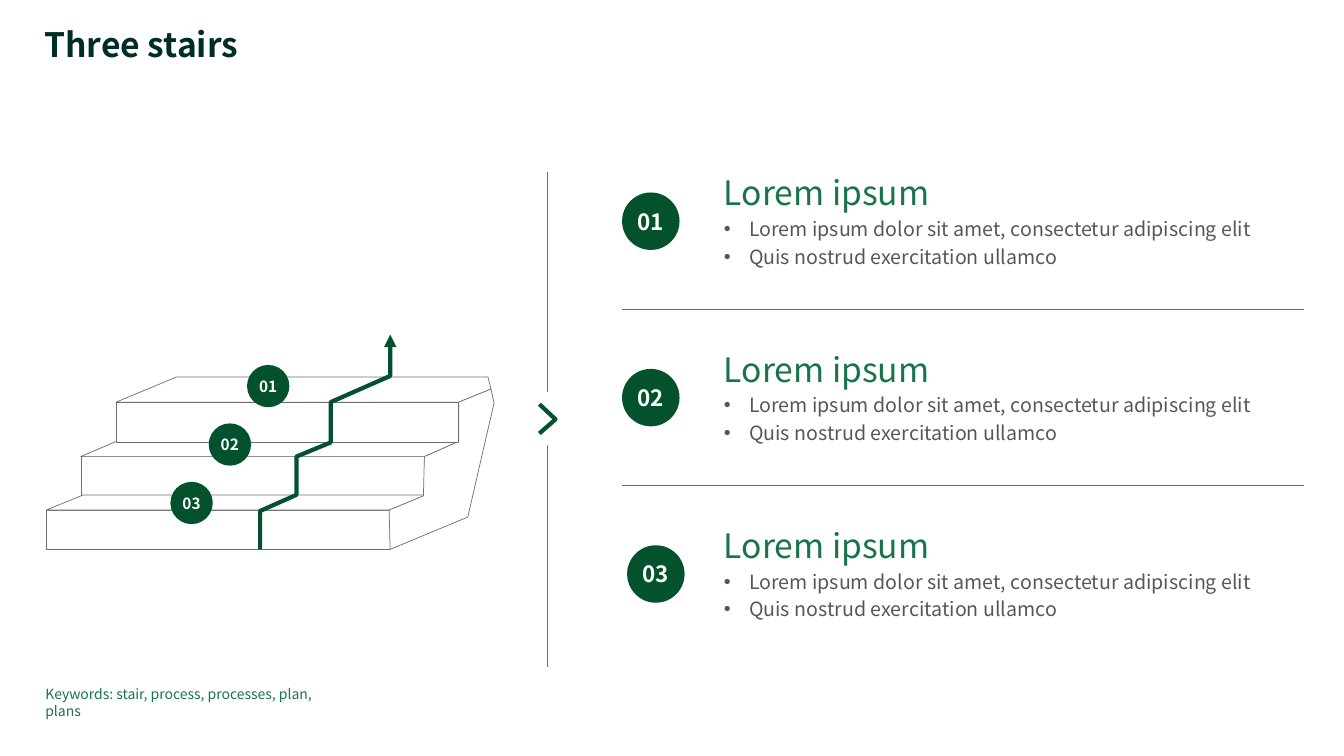
from dataclasses import dataclass
from typing import Any, Optional

from lxml import etree
from pptx import Presentation
from pptx import util as u
from pptx.dml.color import RGBColor
from pptx.enum import shapes, text
from pptx.oxml import ns

PX = 9144
Point = tuple[int, int]


@dataclass(frozen=True)
class Theme:
    font: str = "Noto Sans CJK JP"
    title: str = "002D28"
    heading: str = "1A7449"
    body: str = "575757"
    accent: str = "03522D"
    outline: str = "6E6F73"
    paper: str = "FFFFFF"
    large: int = 24
    badge: int = 16
    detail: int = 14
    stair_badge: int = 11
    note: int = 10
    thin: float = 0.5
    divider: float = 0.75
    thick: float = 3


THEME = Theme()


@dataclass(frozen=True)
class Box:
    left: int
    top: int
    width: int
    height: int

    def emu(self) -> list[int]:
        return [v * PX for v in (self.left, self.top, self.width, self.height)]


@dataclass(frozen=True)
class Step:
    label: str
    badge_left: int
    stair_left: int
    heading: str = "Lorem ipsum"
    details: tuple[str, ...] = (
        "Lorem ipsum dolor sit amet, consectetur adipiscing elit",
        "Quis nostrud exercitation ullamco",
    )


STEPS = [Step("01", 617, 245), Step("02", 617, 207), Step("03", 622, 169)]
STEP_TOP, STEP_PITCH = 171, 175
STAIR_TOP, STAIR_PITCH = 362, 58
LOWER_RISERS = [Box(81, 453, 340, 38), Box(46, 506, 341, 39)]
TOP_RISER = Box(115, 399, 340, 40)
UPPER_TREADS: list[list[Point]] = [
    [(175, 374), (484, 374), (487, 386), (455, 399), (115, 399)],
    [(80, 453), (115, 438), (455, 438), (421, 453)],
]
LOWEST_TREAD = Box(46, 491, 377, 15)
STAIR_SIDE: list[Point] = [
    (487, 386), (490, 400), (464, 513), (387, 545), (386, 506),
    (420, 492), (421, 453), (455, 438), (455, 399),
]
CLIMB: list[Point] = [
    (258, 545), (258, 507), (294, 491), (294, 453),
    (328, 439), (328, 399), (387, 373), (387, 332),
]
CHEVRON: list[Point] = [(535, 401), (551, 416), (535, 430)]


def assign(target: Any, values: dict[str, Any]) -> None:
    for key, value in values.items():
        setattr(target, key, value)


def paint(shape: Any, fill: Optional[str], line: Optional[str] = None,
          weight: float = THEME.thin) -> None:
    shape.shadow.inherit = False
    if fill:
        shape.fill.solid()
        shape.fill.fore_color.rgb = RGBColor.from_string(fill)
    else:
        shape.fill.background()
    if line:
        shape.line.color.rgb = RGBColor.from_string(line)
        shape.line.width = u.Pt(weight)
    else:
        shape.line.fill.background()


def set_frame(frame: Any, **extra: Any) -> None:
    assign(frame, {
        "margin_left": 0, "margin_top": 0, "margin_right": 0, "margin_bottom": 0,
        "word_wrap": True, "vertical_anchor": text.MSO_ANCHOR.TOP, **extra,
    })


def write(paragraph: Any, words: str, size: int, color: str, bold: bool = False) -> None:
    run = paragraph.add_run()
    run.text = words
    assign(run.font, {"name": THEME.font, "size": u.Pt(size), "bold": bold})
    run.font.color.rgb = RGBColor.from_string(color)


def add_bullet(paragraph: Any) -> None:
    props = paragraph._p.get_or_add_pPr()
    indent = 25 * PX
    props.set("marL", str(indent))
    props.set("indent", str(-indent))
    etree.SubElement(props, ns.qn("a:buFont")).set("typeface", "Arial")
    etree.SubElement(props, ns.qn("a:buChar")).set("char", "•")
    paragraph.space_before = u.Pt(3)


def add_preset(slide: Any, kind: Any, box: Box, fill: str,
               line: Optional[str] = None) -> Any:
    shape = slide.shapes.add_shape(kind, *box.emu())
    paint(shape, fill, line)
    return shape


def add_outline(slide: Any, points: list[Point], fill: Optional[str],
                line: str, weight: float = THEME.thin) -> Any:
    builder = slide.shapes.build_freeform(*points[0], scale=PX)
    builder.add_line_segments(points[1:], close=fill is not None)
    shape = builder.convert_to_shape()
    paint(shape, fill, line, weight)
    return shape


def add_rule(slide: Any, start: Point, end: Point, weight: float) -> None:
    ends = [v * PX for v in (*start, *end)]
    rule = slide.shapes.add_connector(shapes.MSO_CONNECTOR.STRAIGHT, *ends)
    rule.line.color.rgb = RGBColor.from_string(THEME.outline)
    rule.line.width = u.Pt(weight)
    etree.SubElement(rule._element.spPr, ns.qn("a:effectLst"))


def add_badge(slide: Any, label: str, left: int, top: int, side: int, size: int) -> None:
    badge = add_preset(slide, shapes.MSO_SHAPE.OVAL, Box(left, top, side, side), THEME.accent)
    set_frame(badge.text_frame, vertical_anchor=text.MSO_ANCHOR.MIDDLE)
    paragraph = badge.text_frame.paragraphs[0]
    paragraph.alignment = text.PP_ALIGN.CENTER
    write(paragraph, label, size, THEME.paper, bold=True)


def add_text_frame(slide: Any, box: Box) -> Any:
    frame = slide.shapes.add_textbox(*box.emu()).text_frame
    set_frame(frame, auto_size=text.MSO_AUTO_SIZE.SHAPE_TO_FIT_TEXT)
    return frame


def add_title(slide: Any) -> None:
    title = slide.shapes.title
    assign(title, dict(zip(("left", "top", "width", "height"), Box(44, 28, 1103, 37).emu())))
    set_frame(title.text_frame, auto_size=text.MSO_AUTO_SIZE.SHAPE_TO_FIT_TEXT)
    paragraph = title.text_frame.paragraphs[0]
    assign(paragraph, {"alignment": text.PP_ALIGN.LEFT, "line_spacing": 0.9})
    write(paragraph, "Three stairs", THEME.large, THEME.title, bold=True)


def add_step(slide: Any, index: int, step: Step) -> None:
    top = STEP_TOP + index * STEP_PITCH
    frame = add_text_frame(slide, Box(718, top, 575, 96))
    write(frame.paragraphs[0], step.heading, THEME.large, THEME.heading)
    for detail in step.details:
        paragraph = frame.add_paragraph()
        add_bullet(paragraph)
        write(paragraph, detail, THEME.detail, THEME.body)
    if index:
        rule_y = top - 39
        add_rule(slide, (617, rule_y), (1293, rule_y), THEME.thin)
    add_badge(slide, step.label, step.badge_left, top + 20, 57, THEME.badge)


def add_stairs(slide: Any) -> None:
    kinds = shapes.MSO_SHAPE
    for riser in LOWER_RISERS:
        add_preset(slide, kinds.RECTANGLE, riser, THEME.paper, THEME.outline)
    for tread in UPPER_TREADS:
        add_outline(slide, tread, THEME.paper, THEME.outline)
    lowest = add_preset(slide, kinds.PARALLELOGRAM, LOWEST_TREAD, THEME.paper, THEME.outline)
    lowest.adjustments[0] = 2.45
    add_outline(slide, STAIR_SIDE, THEME.paper, THEME.outline)
    add_preset(slide, kinds.RECTANGLE, TOP_RISER, THEME.paper, THEME.outline)
    climb = add_outline(slide, CLIMB, None, THEME.accent, THEME.thick)
    etree.SubElement(climb.line._get_or_add_ln(), ns.qn("a:tailEnd")).set("type", "triangle")
    for index, step in enumerate(STEPS):
        add_badge(slide, step.label, step.stair_left, STAIR_TOP + index * STAIR_PITCH,
                  42, THEME.stair_badge)


def add_divider(slide: Any) -> None:
    add_rule(slide, (543, 171), (543, 662), THEME.divider)
    add_preset(slide, shapes.MSO_SHAPE.OVAL, Box(516, 389, 53, 53), THEME.paper)
    add_outline(slide, CHEVRON, None, THEME.accent, THEME.thick)


def main() -> None:
    deck = Presentation()
    assign(deck, {"slide_width": 1333 * PX, "slide_height": 750 * PX})
    slide = deck.slides.add_slide(deck.slide_layouts.get_by_name("Title Only"))
    add_title(slide)
    for index, step in enumerate(STEPS):
        add_step(slide, index, step)
    add_stairs(slide)
    add_divider(slide)
    keywords = add_text_frame(slide, Box(45, 680, 299, 17)).paragraphs[0]
    write(keywords, "Keywords: stair, process, processes, plan, plans", THEME.note, THEME.heading)
    deck.save("out.pptx")


if __name__ == "__main__":
    main()
